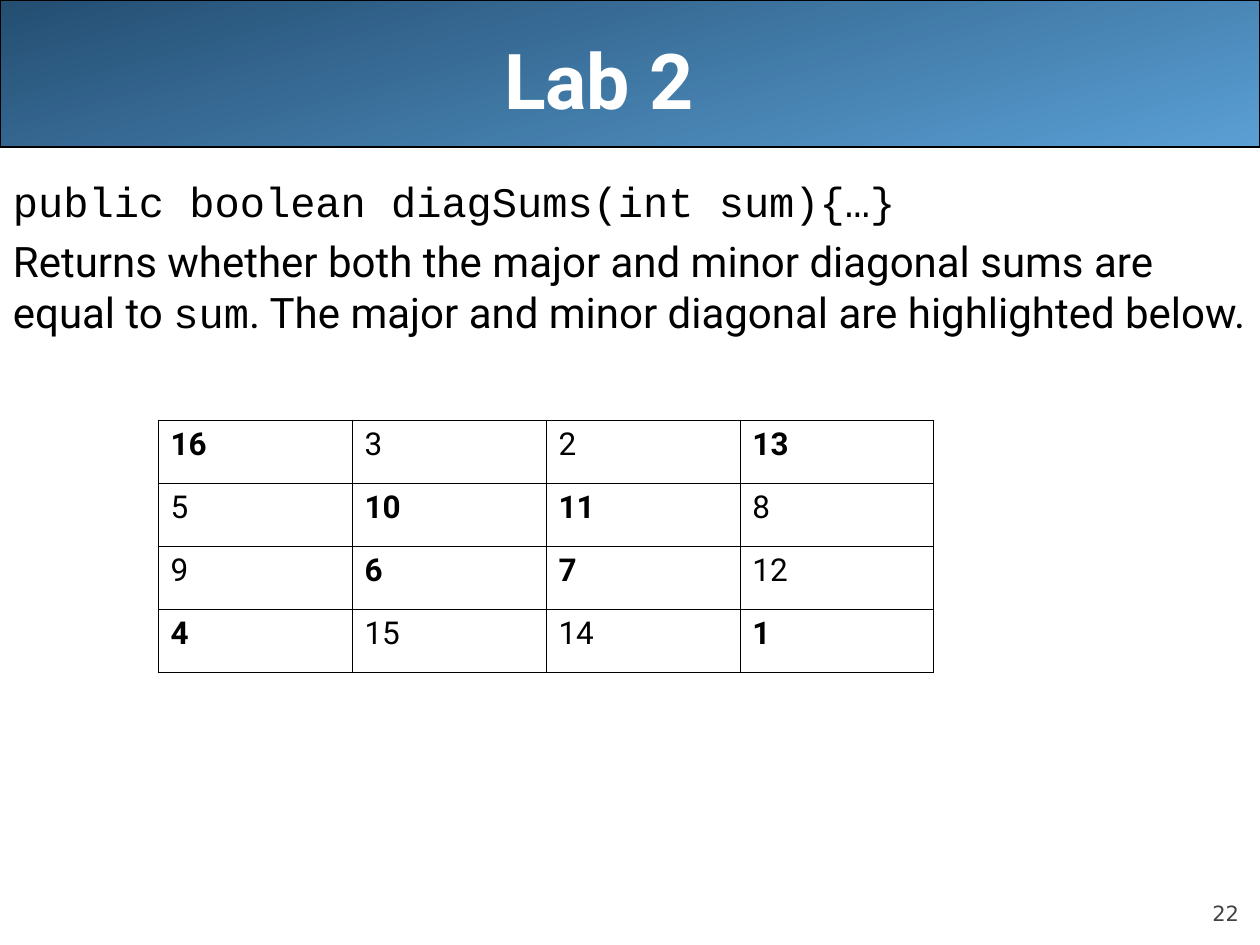
from lxml import etree
from pptx import Presentation
from pptx import util as u
from pptx.dml.color import RGBColor
from pptx.enum import shapes, text
from pptx.oxml.ns import qn

SCALE = 914400 / 126  # EMU in one px
BLACK = RGBColor(0x00, 0x00, 0x00)
WHITE = RGBColor(0xFF, 0xFF, 0xFF)
GRAY = RGBColor(0x42, 0x42, 0x42)
NAVY = RGBColor(0x24, 0x4E, 0x72)
SKY = RGBColor(0x5A, 0x9F, 0xD4)
SANS, MONO, NUMBER = "Roboto", "Courier New", "DejaVu Sans"


def px(length):
    return u.Emu(round(length * SCALE))


class LabSlide:
    """Holds the style and the current slide."""

    def __init__(self, deck):
        self.page = deck.slides.add_slide(deck.slide_layouts[5])
        self.shapes = self.page.shapes

    def style(self, para, size, name=None, color=BLACK, bold=False):
        para.font.size = u.Pt(size)
        para.font.bold = bold
        para.font.color.rgb = color
        if name:
            para.font.name = name

    def frame(self, box, anchor, margins):
        frame = box.text_frame
        frame.word_wrap = True
        frame.auto_size = text.MSO_AUTO_SIZE.NONE
        frame.vertical_anchor = anchor
        (frame.margin_left, frame.margin_top,
         frame.margin_right, frame.margin_bottom) = map(px, margins)
        return frame

    def band(self, left, top, width, height):
        band = self.shapes.add_shape(
            shapes.MSO_SHAPE.ROUNDED_RECTANGLE, *map(px, (left, top, width, height)))
        band.adjustments[0] = 0
        band.shadow.inherit = False
        band.fill.gradient()
        band.fill.gradient_angle = 285
        for stop, color in zip(band.fill.gradient_stops, (NAVY, SKY)):
            stop.color.rgb = color
        band.line.color.rgb = BLACK
        band.line.width = u.Pt(0.75)
        self.shapes.title.element.addprevious(band.element)

    def title(self, words, left, top, width, height):
        title = self.shapes.title
        title.left, title.top, title.width, title.height = map(
            px, (left, top, width, height))
        # The wide right margin moves the centred words to the left
        frame = self.frame(title, text.MSO_ANCHOR.MIDDLE, (13, 6, 75, 6))
        frame.text = words
        para = frame.paragraphs[0]
        para.alignment = text.PP_ALIGN.CENTER
        self.style(para, 44, SANS, WHITE, bold=True)

    def body(self, paragraphs, left, top, width, height):
        box = self.shapes.add_textbox(*map(px, (left, top, width, height)))
        frame = self.frame(box, text.MSO_ANCHOR.TOP, (13, 17, 13, 6))
        for index, spans in enumerate(paragraphs):
            para = frame.add_paragraph() if index else frame.paragraphs[0]
            para.space_before = u.Pt(6 if index else 0)
            self.style(para, 24)
            for words, name in spans:
                span = para.add_run()
                span.text = words
                span.font.name = name

    def square(self, numbers, left, top, cell_width, cell_height):
        count = len(numbers)
        table = self.shapes.add_table(
            count, count, px(left), px(top),
            px(count * cell_width), px(count * cell_height)).table
        table.first_row = table.horz_banding = False
        for column in table.columns:
            column.width = px(cell_width)
        for r, values in enumerate(numbers):
            table.rows[r].height = px(cell_height)
            for c, value in enumerate(values):
                cell = table.cell(r, c)
                cell.text = str(value)
                on_diagonal = r == c or r + c == count - 1
                self.style(cell.text_frame.paragraphs[0], 18, SANS, bold=on_diagonal)
                self.borders(cell)
                cell.fill.background()

    def borders(self, cell):
        properties = cell._tc.get_or_add_tcPr()
        for side in ("a:lnL", "a:lnR", "a:lnT", "a:lnB"):
            line = etree.SubElement(properties, qn(side), w=str(u.Pt(0.45)))
            fill = etree.SubElement(line, qn("a:solidFill"))
            etree.SubElement(fill, qn("a:srgbClr"), val=str(BLACK))

    def page_number(self, number, left, top, width, height):
        box = self.shapes.add_textbox(*map(px, (left, top, width, height)))
        frame = self.frame(box, text.MSO_ANCHOR.BOTTOM, (0, 0, 0, 0))
        frame.text = str(number)
        para = frame.paragraphs[0]
        para.alignment = text.PP_ALIGN.RIGHT
        self.style(para, 12, NUMBER, GRAY)


def main():
    deck = Presentation()
    deck.slide_width, deck.slide_height = px(1260), px(945)
    slide = LabSlide(deck)

    # Header
    slide.band(0, 0, 1260, 147)
    slide.title("Lab 2", 63, 0, 1134, 158)

    # Method and what it returns
    slide.body([
        [("public boolean diagSums(int sum){…}", MONO)],
        [("Returns whether both the major and minor diagonal sums are equal to ", SANS),
         ("sum", MONO),
         (". The major and minor diagonal are highlighted below.", SANS)],
    ], 0, 158, 1260, 787)

    # Magic square with bold diagonals
    slide.square([
        [16, 3, 2, 13],
        [5, 10, 11, 8],
        [9, 6, 7, 12],
        [4, 15, 14, 1],
    ], 158, 420, 194, 63)

    # Footer
    slide.page_number(22, 1134, 876, 105, 50)
    deck.save("out.pptx")


if __name__ == "__main__":
    main()
